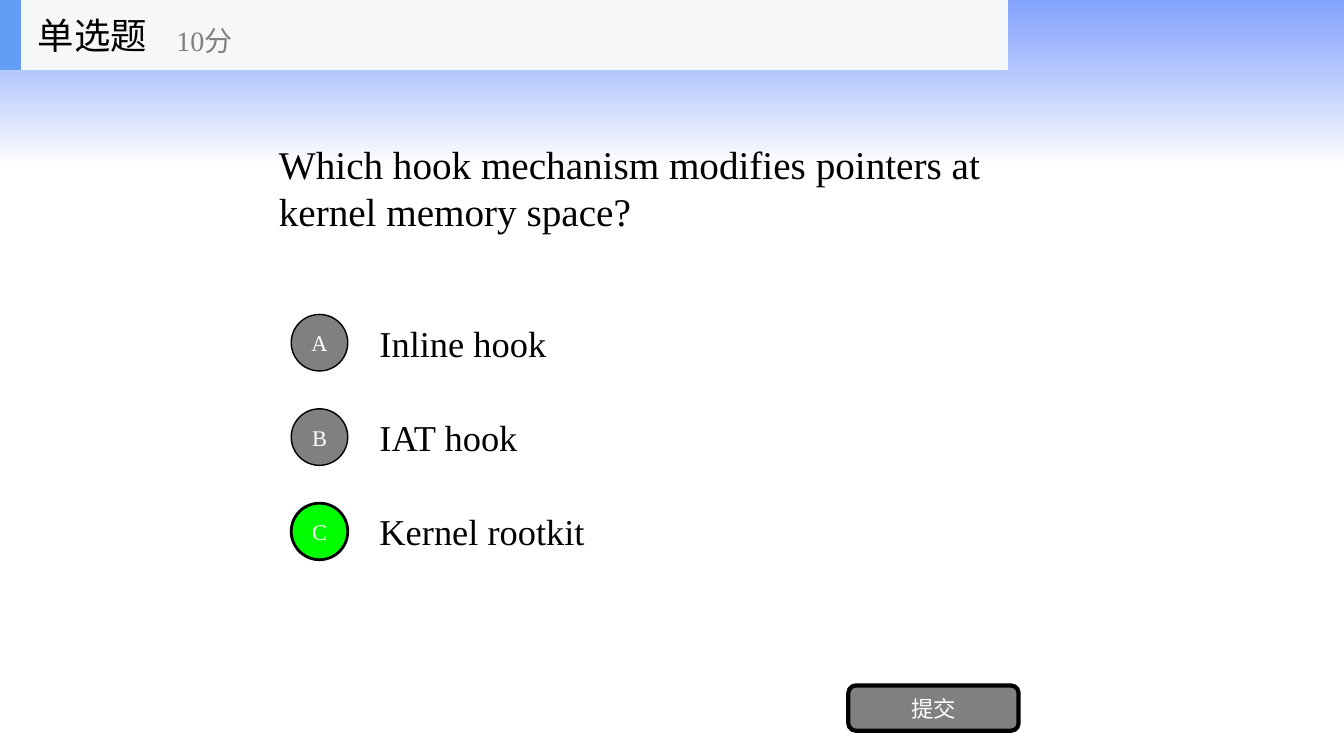
"""Build a single-choice quiz slide about hook mechanisms."""
import pptx
import pptx.dml.color
import pptx.enum.shapes
import pptx.enum.text
import pptx.oxml.ns
import pptx.util
from lxml import etree

Pt = pptx.util.Pt
RGBColor = pptx.dml.color.RGBColor
SHAPE = pptx.enum.shapes.MSO_SHAPE
ALIGN = pptx.enum.text.PP_ALIGN

BLACK = RGBColor(0x00, 0x00, 0x00)
WHITE = RGBColor(0xFF, 0xFF, 0xFF)
GRAY = RGBColor(0x80, 0x80, 0x80)
GREEN = RGBColor(0x00, 0xFF, 0x00)
SKY = RGBColor(0x33, 0x66, 0xFF)
HEADER = RGBColor(0xF6, 0xF7, 0xF8)
ACCENT = RGBColor(0x63, 0x9E, 0xF4)

FONT = "Times New Roman"
OPTIONS = [
    ("A", "Inline hook", GRAY, 1),
    ("B", "IAT hook", GRAY, 1),
    ("C", "Kernel rootkit", GREEN, 2),
]
OPTION_TOP = 219.6
OPTION_PITCH = 67.4


def place(shape, left, top, width, height):
    shape.left, shape.top = Pt(left), Pt(top)
    shape.width, shape.height = Pt(width), Pt(height)


def write(shape, text, size, color, align=ALIGN.LEFT, wrap=True):
    frame = shape.text_frame
    frame.text = text
    frame.word_wrap = wrap
    frame.auto_size = pptx.enum.text.MSO_AUTO_SIZE.NONE
    frame.vertical_anchor = pptx.enum.text.MSO_ANCHOR.MIDDLE
    paragraph = frame.paragraphs[0]
    paragraph.alignment = align
    paragraph.font.name = FONT
    paragraph.font.size = Pt(size)
    paragraph.font.color.rgb = color


def add_label(shapes, box, text, size, color, wrap=True):
    label = shapes.add_textbox(*map(Pt, box))
    write(label, text, size, color, wrap=wrap)


def add_block(shapes, kind, box, fill=None):
    block = shapes.add_shape(kind, *map(Pt, box))
    block.shadow.inherit = False
    block.line.fill.background()
    if fill is not None:
        block.fill.solid()
        block.fill.fore_color.rgb = fill
    return block


def add_button(shapes, kind, box, text, fill, line_width):
    button = add_block(shapes, kind, box, fill)
    button.line.color.rgb = BLACK
    button.line.width = Pt(line_width)
    write(button, text, 16, WHITE, ALIGN.CENTER)
    frame = button.text_frame
    frame.margin_left = frame.margin_right = 0
    frame.margin_top = frame.margin_bottom = 0


def add_sky(slide):
    sky = add_block(slide.shapes, SHAPE.RECTANGLE, (0, 0, 960, 116.6))
    sky.fill.gradient()
    sky.fill.gradient_angle = 270
    for stop, color in zip(sky.fill.gradient_stops, (SKY, WHITE)):
        stop.color.rgb = color
    opacities = ("60000", "70000")
    colors = sky.element.spPr.iter(pptx.oxml.ns.qn("a:srgbClr"))
    for color, opacity in zip(colors, opacities):
        etree.SubElement(color, pptx.oxml.ns.qn("a:alpha"), val=opacity)
    slide.shapes.title.element.addprevious(sky.element)


def add_question(slide, text):
    title = slide.shapes.title
    place(title, 192, 49.7, 576, 168.5)
    write(title, text, 28, BLACK)


def add_options(slide):
    for index, (letter, answer, fill, line_width) in enumerate(OPTIONS):
        top = OPTION_TOP + index * OPTION_PITCH
        add_label(slide.shapes, (264, top, 504, 50.4), answer, 26, BLACK)
        add_button(slide.shapes, SHAPE.OVAL, (208, top + 5, 40.4, 40.4),
                   letter, fill, line_width)


def add_header(slide):
    shapes = slide.shapes.add_group_shape().shapes
    add_block(shapes, SHAPE.RECTANGLE, (0, 0, 720, 50), HEADER)
    add_block(shapes, SHAPE.RECTANGLE, (0, 0, 15, 50), ACCENT)
    add_label(shapes, (20, 0, 150, 50), "单选题", 26, BLACK, wrap=False)
    add_label(shapes, (119, 9, 180, 40), "10分", 20, GRAY, wrap=False)


def main():
    presentation = pptx.Presentation()
    presentation.slide_width, presentation.slide_height = Pt(960), Pt(540)
    slide = presentation.slides.add_slide(presentation.slide_layouts[5])
    add_sky(slide)
    add_question(slide, "Which hook mechanism modifies pointers at kernel memory space?")
    add_options(slide)
    add_button(slide.shapes, SHAPE.ROUNDED_RECTANGLE, (606, 489.6, 121.6, 32.4),
               "提交", GRAY, 3)
    add_header(slide)
    presentation.save("out.pptx")


if __name__ == "__main__":
    main()
